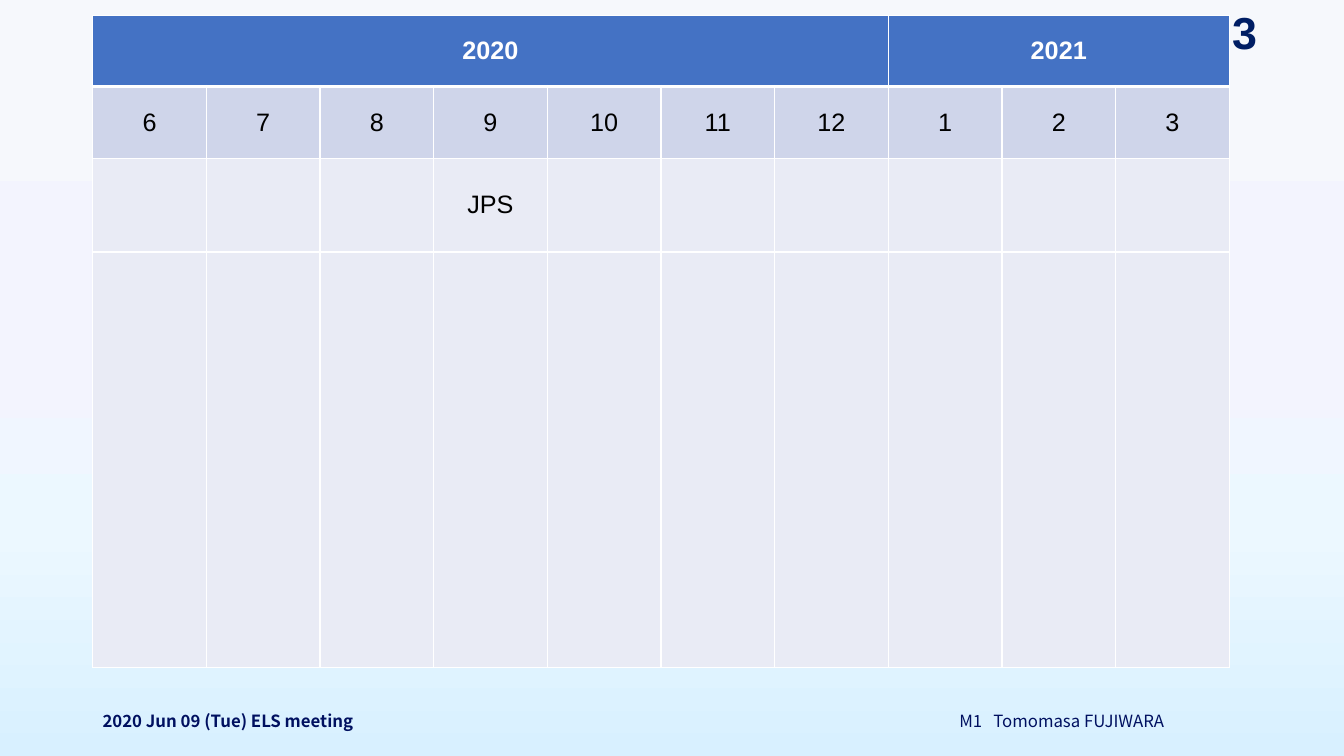
from dataclasses import dataclass

from lxml import etree
from pptx import Presentation
from pptx.dml.color import RGBColor
from pptx.enum.text import MSO_ANCHOR, PP_ALIGN
from pptx.oxml.ns import qn
from pptx.slide import Slide
from pptx.table import Table, _Cell
from pptx.text.text import _Paragraph
from pptx.util import Pt

LEFT, CENTER = PP_ALIGN.LEFT, PP_ALIGN.CENTER
MIDDLE = MSO_ANCHOR.MIDDLE


@dataclass(frozen=True)
class Theme:
    background: tuple = ((0, "F6F8FC"), (48, "F3F4FE"), (70, "ECF8FF"), (100, "D8F0FF"))
    number: str = "001E64"
    footer: str = "001060"
    year_fill: str = "4472C4"
    year_text: str = "FFFFFF"
    month_fill: str = "CFD5EA"
    plan_fill: str = "E9EBF5"
    plan_text: str = "000000"
    border: str = "FFFFFF"
    font: str = "Arial"
    footer_font: str = "Noto Sans CJK JP"
    number_size: float = 32
    table_size: float = 18
    footer_size: float = 12


@dataclass(frozen=True)
class Style:
    font: str
    size: float
    color: str
    bold: bool = False
    align: PP_ALIGN = LEFT


@dataclass(frozen=True)
class Label:
    text: str
    left: float
    top: float
    width: float
    height: float
    style: Style
    tab: float = 0


@dataclass(frozen=True)
class Year:
    name: str
    months: tuple


THEME = Theme()
NUMBER = Style(THEME.font, THEME.number_size, THEME.number, True, CENTER)
MEETING = Style(THEME.footer_font, THEME.footer_size, THEME.footer, True)
AUTHOR = Style(THEME.footer_font, THEME.footer_size, THEME.footer)
YEAR = Style(THEME.font, THEME.table_size, THEME.year_text, True, CENTER)
PLAN = Style(THEME.font, THEME.table_size, THEME.plan_text, False, CENTER)

LABELS = (
    Label("3", 818, 0, 142, 45.4, NUMBER),
    Label("M1\tTomomasa FUJIWARA", 678.2, 500.4, 216, 28.8, AUTHOR, tab=24.3),
    Label("2020 Jun 09 (Tue) ELS meeting", 66.2, 500.4, 216, 28.8, MEETING),
)
YEARS = (Year("2020", (6, 7, 8, 9, 10, 11, 12)), Year("2021", (1, 2, 3)))
EVENTS = {9: "JPS"}
COLUMN_WIDTH = 81.2
ROW_HEIGHTS = (51.1, 51.1, 67, 296.6)
ROW_FILLS = (THEME.year_fill, THEME.month_fill, THEME.plan_fill, THEME.plan_fill)


def paint_background(s: Slide) -> None:
    fill = s.background.fill
    fill.gradient()
    fill.gradient_angle = 270
    stops = s.element.find(".//" + qn("a:gsLst"))
    for stop in list(stops):
        stops.remove(stop)
    for position, color in THEME.background:
        stop = etree.SubElement(stops, qn("a:gs"), pos=str(position * 1000))
        etree.SubElement(stop, qn("a:srgbClr"), val=color)


def add_run(p: _Paragraph, text: str, style: Style) -> None:
    p.alignment = style.align
    r = p.add_run()
    r.text = text
    r.font.name = style.font
    r.font.size = Pt(style.size)
    r.font.bold = style.bold
    r.font.color.rgb = RGBColor.from_string(style.color)
    etree.SubElement(r.font._element, qn("a:ea"), typeface=style.font)


def add_label(s: Slide, label: Label) -> None:
    sp = s.shapes.add_textbox(
        Pt(label.left), Pt(label.top), Pt(label.width), Pt(label.height))
    tf = sp.text_frame
    tf.word_wrap = True
    tf.vertical_anchor = MIDDLE
    p = tf.paragraphs[0]
    add_run(p, label.text, label.style)
    if label.tab:
        tabs = etree.SubElement(p._p.get_or_add_pPr(), qn("a:tabLst"))
        etree.SubElement(tabs, qn("a:tab"), pos=str(Pt(label.tab)), algn="l")


def format_cell(cell: _Cell, row: int) -> None:
    cell.vertical_anchor = MIDDLE
    cell.fill.solid()
    cell.fill.fore_color.rgb = RGBColor.from_string(ROW_FILLS[row])
    # A heavier rule separates the years from the months
    widths = {"lnL": 1, "lnR": 1, "lnT": 3 if row == 1 else 1, "lnB": 3 if row == 0 else 1}
    tc_pr = cell._tc.get_or_add_tcPr()
    for i, (side, width) in enumerate(widths.items()):
        line = etree.Element(qn(f"a:{side}"), w=str(Pt(width)))
        fill = etree.SubElement(line, qn("a:solidFill"))
        etree.SubElement(fill, qn("a:srgbClr"), val=THEME.border)
        tc_pr.insert(i, line)


def fill_calendar(table: Table) -> None:
    column = 0
    for year in YEARS:
        first = table.cell(0, column)
        first.merge(table.cell(0, column + len(year.months) - 1))
        add_run(first.text_frame.paragraphs[0], year.name, YEAR)
        for month in year.months:
            add_run(table.cell(1, column).text_frame.paragraphs[0], str(month), PLAN)
            if month in EVENTS:
                add_run(table.cell(2, column).text_frame.paragraphs[0], EVENTS[month], PLAN)
            column += 1


def add_calendar(s: Slide) -> None:
    count = sum(len(year.months) for year in YEARS)
    table = s.shapes.add_table(
        len(ROW_HEIGHTS), count, Pt(66.2), Pt(10.8),
        Pt(COLUMN_WIDTH * count), Pt(sum(ROW_HEIGHTS))).table
    table.horz_banding = False
    for column in table.columns:
        column.width = Pt(COLUMN_WIDTH)
    for i, height in enumerate(ROW_HEIGHTS):
        table.rows[i].height = Pt(height)
        for j in range(count):
            format_cell(table.cell(i, j), i)
    fill_calendar(table)


def main() -> None:
    prs = Presentation()
    prs.slide_width, prs.slide_height = Pt(960), Pt(540)
    s = prs.slides.add_slide(prs.slide_layouts[6])
    paint_background(s)
    # Page number and footer
    for label in LABELS:
        add_label(s, label)
    # Schedule by year and month
    add_calendar(s)
    prs.save("out.pptx")


if __name__ == "__main__":
    main()
